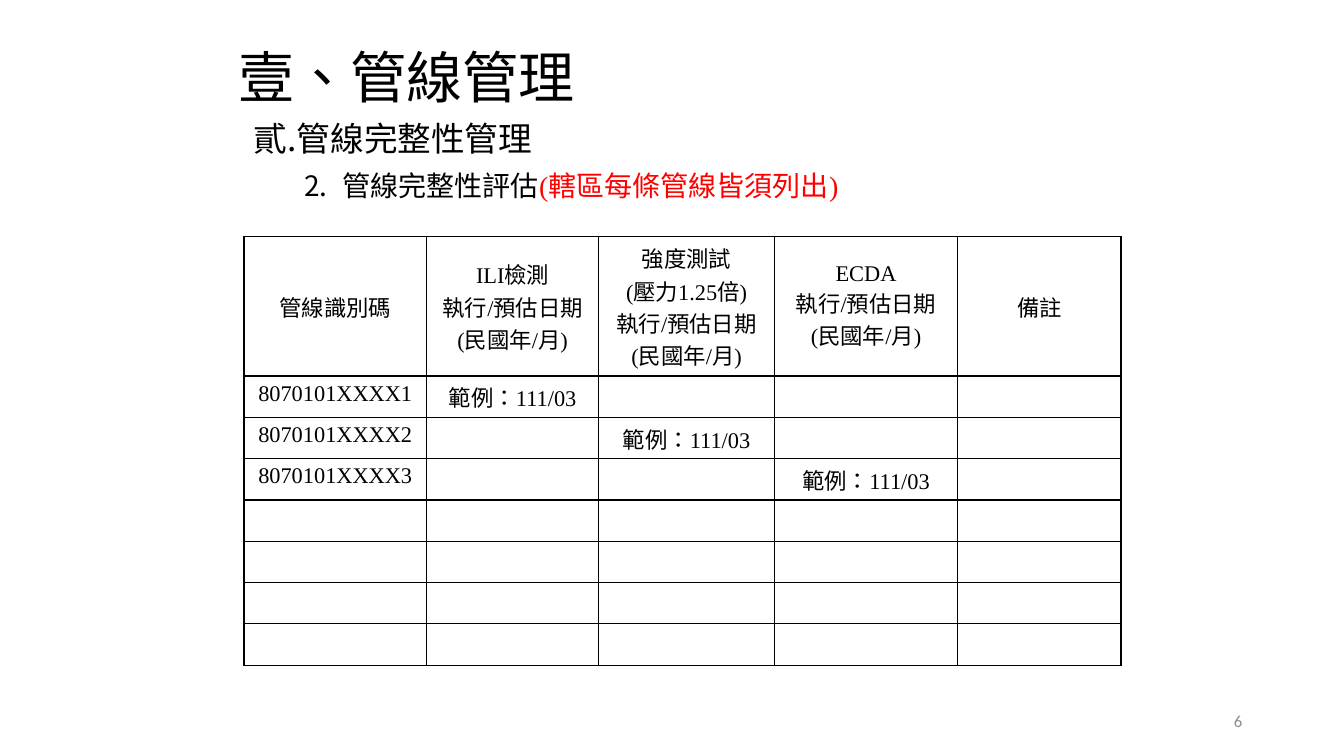
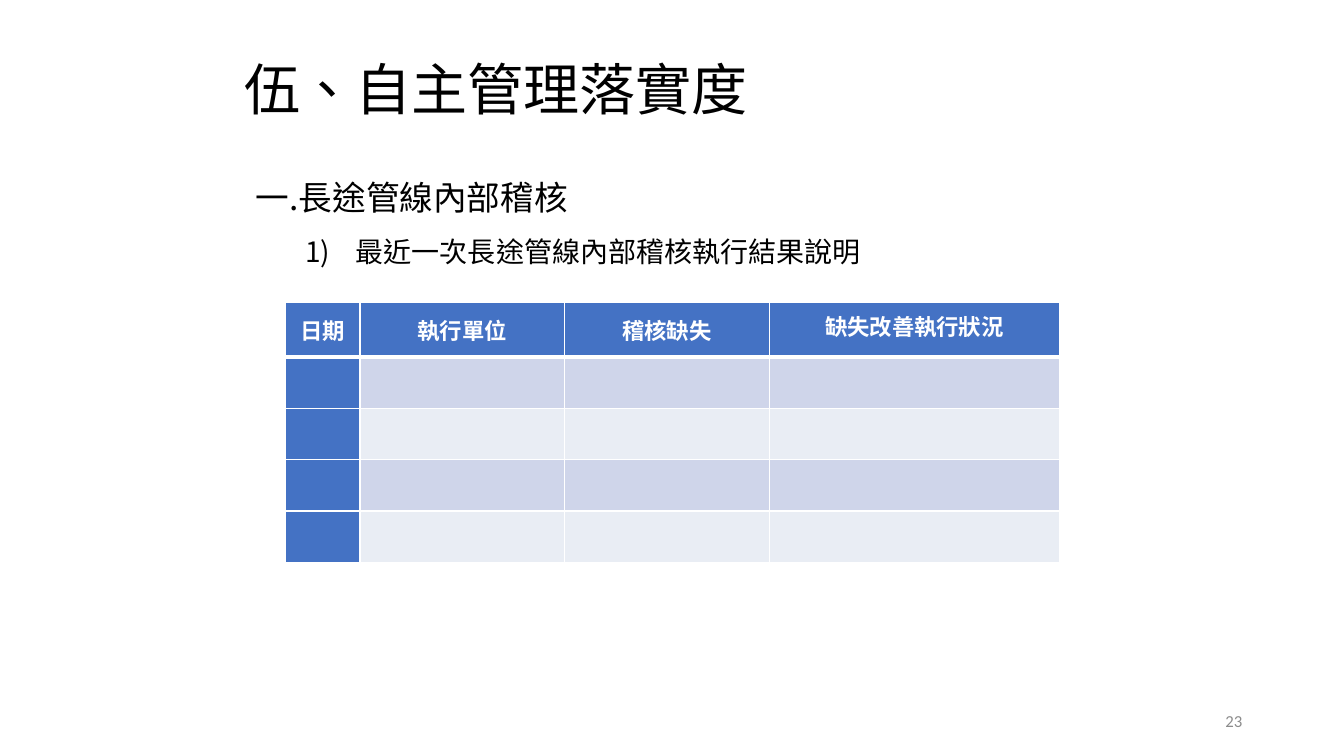
import pptx
import pptx.dml.color
import pptx.enum.lang
import pptx.enum.text
import pptx.oxml
import pptx.oxml.ns
import pptx.util
from lxml import etree

PX = 9144
BLACK, WHITE, RED, GRAY = "000000", "FFFFFF", "FF0000", "8C8C8C"
BLUE, BAND_DARK, BAND_LIGHT = "4472C4", "CFD5EA", "E9EDF4"
SERIF, SANS, NUMBER_FONT = "Times New Roman", "Noto Sans CJK SC", "Calibri"
ALIGN = pptx.enum.text.PP_ALIGN
MIDDLE = pptx.enum.text.MSO_ANCHOR.MIDDLE
qn = pptx.oxml.ns.qn


def set_font(paragraph, name, size, color, bold=False):
    font = paragraph.font
    font.name = name
    font.size = pptx.util.Pt(size)
    font.bold = bold
    font.color.rgb = pptx.dml.color.RGBColor.from_string(color)
    font.language_id = pptx.enum.lang.MSO_LANGUAGE_ID.TRADITIONAL_CHINESE
    properties = paragraph._p.pPr.find(qn("a:defRPr"))
    etree.SubElement(properties, qn("a:ea"), typeface=SANS)


def set_borders(cell, color, bottom_width):
    properties = cell._tc.get_or_add_tcPr()
    for side, width in (("L", 1), ("R", 1), ("T", 1), ("B", bottom_width)):
        line = etree.SubElement(properties, qn("a:ln" + side), w=str(pptx.util.Pt(width)))
        fill = etree.SubElement(line, qn("a:solidFill"))
        etree.SubElement(fill, qn("a:srgbClr"), val=color)


pages = [
    {
        "title": "壹、管線管理",
        "title_box": (237, 49, 862, 61),
        "font": SERIF,
        "number": "6",
        "body_box": (242, 117, 832, 108),
        "body_anchor": pptx.enum.text.MSO_ANCHOR.TOP,
        "line_spacing": 0.9,
        "body": [
            ([("管線完整性管理", BLACK)], 24, 0, 25, -25, ("ea1ChtPeriod", 2)),
            ([("管線完整性評估", BLACK), ("(轄區每條管線皆須列出)", RED)],
             20, 9, 88, -38, ("arabicPeriod", 2)),
        ],
        "table_at": (242, 235),
        "columns": (181, 171, 174, 182, 162),
        "rows": [138] + [41] * 7,
        "cells": [
            ["管線識別碼", "ILI檢測\n執行/預估日期\n(民國年/月)",
             "強度測試\n(壓力1.25倍)\n執行/預估日期\n(民國年/月)",
             "ECDA\n執行/預估日期\n(民國年/月)", "備註"],
            ["8070101XXXX1", "範例：111/03"],
            ["8070101XXXX2", "", "範例：111/03"],
            ["8070101XXXX3", "", "", "範例：111/03"],
        ],
        "colored": False,
    },
    {
        "title": "伍、自主管理落實度",
        "title_box": (242, 61, 763, 61),
        "font": SANS,
        "number": "23",
        "body_box": (244, 153, 825, 115),
        "body_anchor": MIDDLE,
        "line_spacing": 1.5,
        "body": [
            ([("一.長途管線內部稽核", BLACK)], 24, 0, 0, 0, None),
            ([("最近一次長途管線內部稽核執行結果說明", BLACK)],
             20, 0, 99, -50, ("arabicParenR", 1)),
        ],
        "table_at": (283, 300),
        "columns": (74, 203, 203, 288),
        "rows": [54] + [51] * 4,
        "cells": [["日期", "執行單位", "稽核缺失", "缺失改善執行狀況"]],
        "colored": True,
    },
]

presentation = pptx.Presentation()
presentation.slide_width = 1333 * PX
presentation.slide_height = 750 * PX

for page in pages:
    slide = presentation.slides.add_slide(presentation.slide_layouts[5])

    title = slide.shapes.title
    title.left, title.top, title.width, title.height = [n * PX for n in page["title_box"]]
    frame = title.text_frame
    frame.margin_left = frame.margin_top = frame.margin_right = frame.margin_bottom = 0
    frame.vertical_anchor = MIDDLE
    frame.text = page["title"]
    paragraph = frame.paragraphs[0]
    paragraph.alignment = ALIGN.LEFT
    paragraph.line_spacing = 0.9
    set_font(paragraph, page["font"], 40, BLACK)

    body = slide.shapes.add_textbox(*[n * PX for n in page["body_box"]])
    frame = body.text_frame
    frame.word_wrap = True
    frame.vertical_anchor = page["body_anchor"]
    for index, (runs, size, before, margin, indent, numbering) in enumerate(page["body"]):
        paragraph = frame.add_paragraph() if index else frame.paragraphs[0]
        paragraph.line_spacing = page["line_spacing"]
        paragraph.space_before = pptx.util.Pt(before)
        properties = paragraph._p.get_or_add_pPr()
        properties.set("marL", str(margin * PX))
        properties.set("indent", str(indent * PX))
        if numbering:
            scheme, start = numbering
            etree.SubElement(properties, qn("a:buFont"), typeface=SANS)
            etree.SubElement(properties, qn("a:buAutoNum"), type=scheme, startAt=str(start))
        set_font(paragraph, page["font"], size, BLACK)
        for text, color in runs:
            run = paragraph.add_run()
            run.text = text
            if color != BLACK:
                run.font.color.rgb = pptx.dml.color.RGBColor.from_string(color)

    number = slide.shapes.add_textbox(942 * PX, 695 * PX, 300 * PX, 40 * PX)
    frame = number.text_frame
    frame.word_wrap = True
    frame.vertical_anchor = MIDDLE
    frame.text = page["number"]
    frame.paragraphs[0].alignment = ALIGN.RIGHT
    set_font(frame.paragraphs[0], NUMBER_FONT, 12, GRAY)

    left, top = page["table_at"]
    columns, rows, colored = page["columns"], page["rows"], page["colored"]
    table = slide.shapes.add_table(
        len(rows), len(columns), left * PX, top * PX, sum(columns) * PX, sum(rows) * PX
    ).table
    table.first_row = table.first_col = colored
    table.horz_banding = colored
    for column, width in zip(table.columns, columns):
        column.width = width * PX
    for row, height in zip(table.rows, rows):
        row.height = height * PX

    for row_index in range(len(rows)):
        for column_index in range(len(columns)):
            cell = table.cell(row_index, column_index)
            header = row_index == 0
            set_borders(cell, WHITE if colored else BLACK, 3 if colored and header else 1)
            if not colored:
                cell.fill.background()
            else:
                band = BAND_DARK if row_index % 2 else BAND_LIGHT
                cell.fill.solid()
                cell.fill.fore_color.rgb = pptx.dml.color.RGBColor.from_string(
                    BLUE if header or column_index == 0 else band)
            if header:
                cell.vertical_anchor = MIDDLE
                if colored:
                    cell.margin_left = cell.margin_right = 7 * PX
                    cell.margin_top = cell.margin_bottom = 0
            texts = page["cells"][row_index] if row_index < len(page["cells"]) else []
            if column_index < len(texts) and texts[column_index]:
                cell.text = texts[column_index]
                for paragraph in cell.text_frame.paragraphs:
                    paragraph.alignment = ALIGN.CENTER
                    set_font(paragraph, page["font"], 16, WHITE if colored else BLACK, colored)

    if colored:
        table.cell(0, 3).text_frame.paragraphs[0].line_spacing = pptx.util.Pt(18)

presentation.save("out.pptx")
